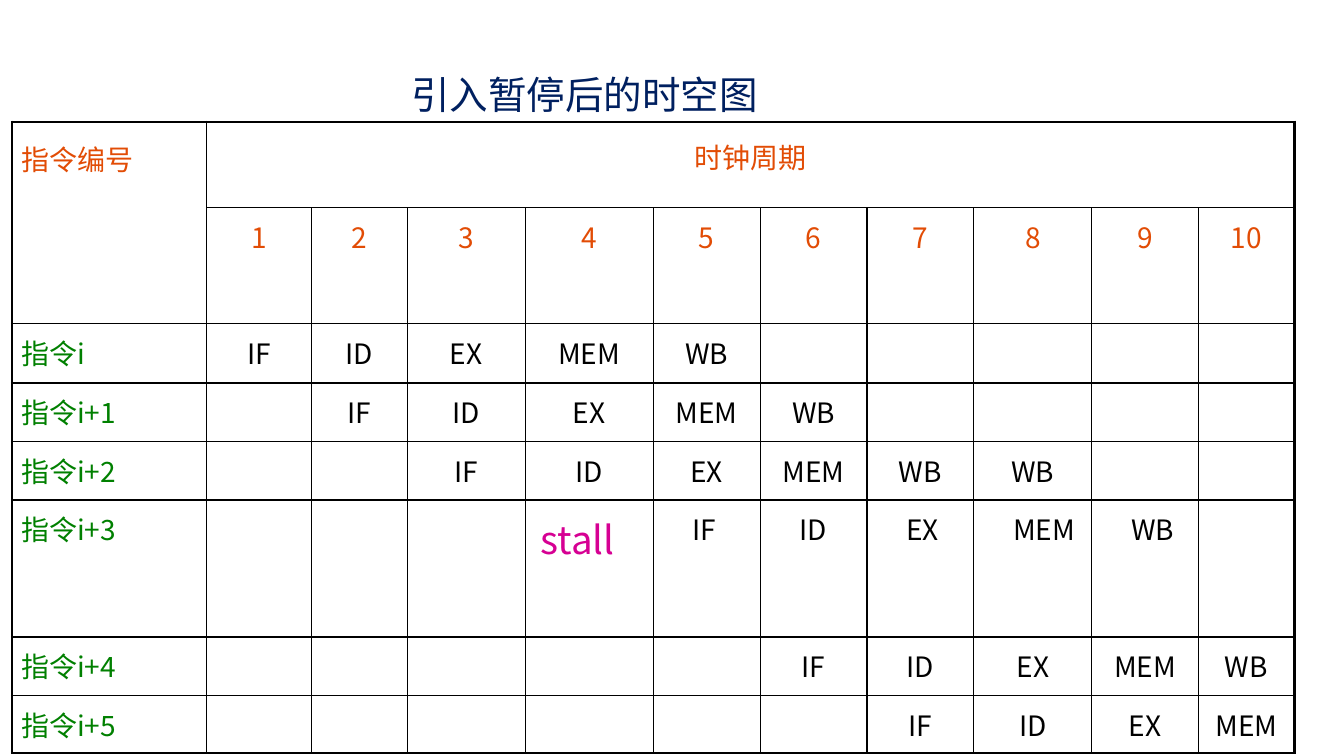
from lxml.etree import SubElement
from pptx import Presentation
from pptx.dml.color import RGBColor
from pptx.enum.text import MSO_ANCHOR, MSO_AUTO_SIZE, PP_ALIGN
from pptx.oxml.ns import qn
from pptx.util import Inches, Pt

CYCLES = 10
COLUMN_WIDTHS = [1.93, 1.04, 0.95, 1.17, 1.27, 1.06, 1.06, 1.06, 1.17, 1.06, 0.95]
ROW_HEIGHTS = [0.85, 1.15, 0.59, 0.58, 0.58, 1.36, 0.58, 0.57]
INSTRUCTIONS = [
    ("指令i", 1, "IF ID EX MEM WB"),
    ("指令i+1", 2, "IF ID EX MEM WB"),
    ("指令i+2", 3, "IF ID EX MEM WB WB"),
    ("指令i+3", 4, "stall IF ID EX MEM WB"),
    ("指令i+4", 6, "IF ID EX MEM WB"),
    ("指令i+5", 7, "IF ID EX MEM"),
]
DELAYED = "指令i+3"
NAVY, ORANGE, GREEN, MAGENTA, BLACK = "002060", "E24C05", "008000", "D60093", "000000"


def color(value):
    return RGBColor.from_string(value)


class SlideBuilder:
    font_name = "Noto Sans CJK SC"
    inner_line = 1
    outer_line = 2.25

    def __init__(self, deck):
        self.slide = deck.slides.add_slide(deck.slide_layouts[5])

    def style(self, paragraph, size, ink, align=PP_ALIGN.LEFT):
        paragraph.alignment = align
        paragraph.line_spacing = 1.0
        font = paragraph.font
        font.name = self.font_name
        font.size = Pt(size)
        font.bold = False
        font.color.rgb = color(ink)
        defaults = paragraph._p.pPr.find(qn("a:defRPr"))
        SubElement(defaults, qn("a:ea"), typeface=self.font_name)

    def title(self, text, left, top, width, height):
        heading = self.slide.shapes.title
        heading.left, heading.top = Inches(left), Inches(top)
        heading.width, heading.height = Inches(width), Inches(height)
        frame = heading.text_frame
        frame.text = text
        frame.word_wrap = True
        frame.auto_size = MSO_AUTO_SIZE.SHAPE_TO_FIT_TEXT
        frame.vertical_anchor = MSO_ANCHOR.TOP
        frame.margin_left = frame.margin_right = 0
        frame.margin_top = frame.margin_bottom = 0
        self.style(frame.paragraphs[0], 27.5, NAVY)

    def table(self, left, top, widths, heights):
        grid = self.slide.shapes.add_table(
            len(heights), len(widths), Inches(left), Inches(top),
            Inches(sum(widths)), Inches(sum(heights))).table
        grid.first_row = grid.horz_banding = False
        for column, width in zip(grid.columns, widths):
            column.width = Inches(width)
        for row, height in zip(grid.rows, heights):
            row.height = Inches(height)
        return grid

    def cell_text(self, cell, text, ink, size=20, align=PP_ALIGN.CENTER, left=0.01, top=0.08):
        cell.text = text
        cell.margin_left, cell.margin_top = Inches(left), Inches(top)
        cell.margin_right = cell.margin_bottom = Inches(0.01)
        self.style(cell.text_frame.paragraphs[0], size, ink, align)

    def borders(self, grid):
        last_row, last_column = len(grid.rows), len(grid.columns)
        for row in range(last_row):
            for column in range(last_column):
                cell = grid.cell(row, column)
                right = column + (cell.span_width if cell.is_merge_origin else 1)
                bottom = row + (cell.span_height if cell.is_merge_origin else 1)
                outer_sides = {"lnL": column == 0, "lnR": right == last_column,
                               "lnT": row == 0, "lnB": bottom == last_row}
                properties = cell._tc.get_or_add_tcPr()
                for side, outer in outer_sides.items():
                    weight = self.outer_line if outer else self.inner_line
                    line = SubElement(properties, qn(f"a:{side}"), w=str(Pt(weight)))
                    SubElement(SubElement(line, qn("a:solidFill")), qn("a:srgbClr"), val=BLACK)
                cell.fill.background()


def main():
    deck = Presentation()
    deck.slide_width, deck.slide_height = Inches(13.33), Inches(7.5)
    builder = SlideBuilder(deck)
    builder.title("引入暂停后的时空图", 4.08, 0.7, 3.52, 0.46)
    timeline = builder.table(0.12, 1.21, COLUMN_WIDTHS, ROW_HEIGHTS)

    timeline.cell(0, 0).merge(timeline.cell(1, 0))
    timeline.cell(0, 1).merge(timeline.cell(0, CYCLES))
    builder.cell_text(timeline.cell(0, 0), "指令编号", ORANGE,
                      align=PP_ALIGN.LEFT, left=0.09, top=0.16)
    builder.cell_text(timeline.cell(0, 1), "时钟周期", ORANGE, top=0.14)
    for cycle in range(1, CYCLES + 1):
        builder.cell_text(timeline.cell(1, cycle), str(cycle), ORANGE)

    for row, (label, first_cycle, stages) in enumerate(INSTRUCTIONS, start=2):
        builder.cell_text(timeline.cell(row, 0), label, GREEN, align=PP_ALIGN.LEFT, left=0.09)
        for cycle, stage in enumerate(stages.split(), start=first_cycle):
            cell = timeline.cell(row, cycle)
            if stage == "stall":
                builder.cell_text(cell, stage, MAGENTA, 27.5, PP_ALIGN.LEFT, 0.15, 0.1)
            elif label == DELAYED:
                builder.cell_text(cell, stage, BLACK, align=PP_ALIGN.LEFT, left=0.39)
            else:
                builder.cell_text(cell, stage, BLACK)

    builder.borders(timeline)
    deck.save("out.pptx")


if __name__ == "__main__":
    main()
